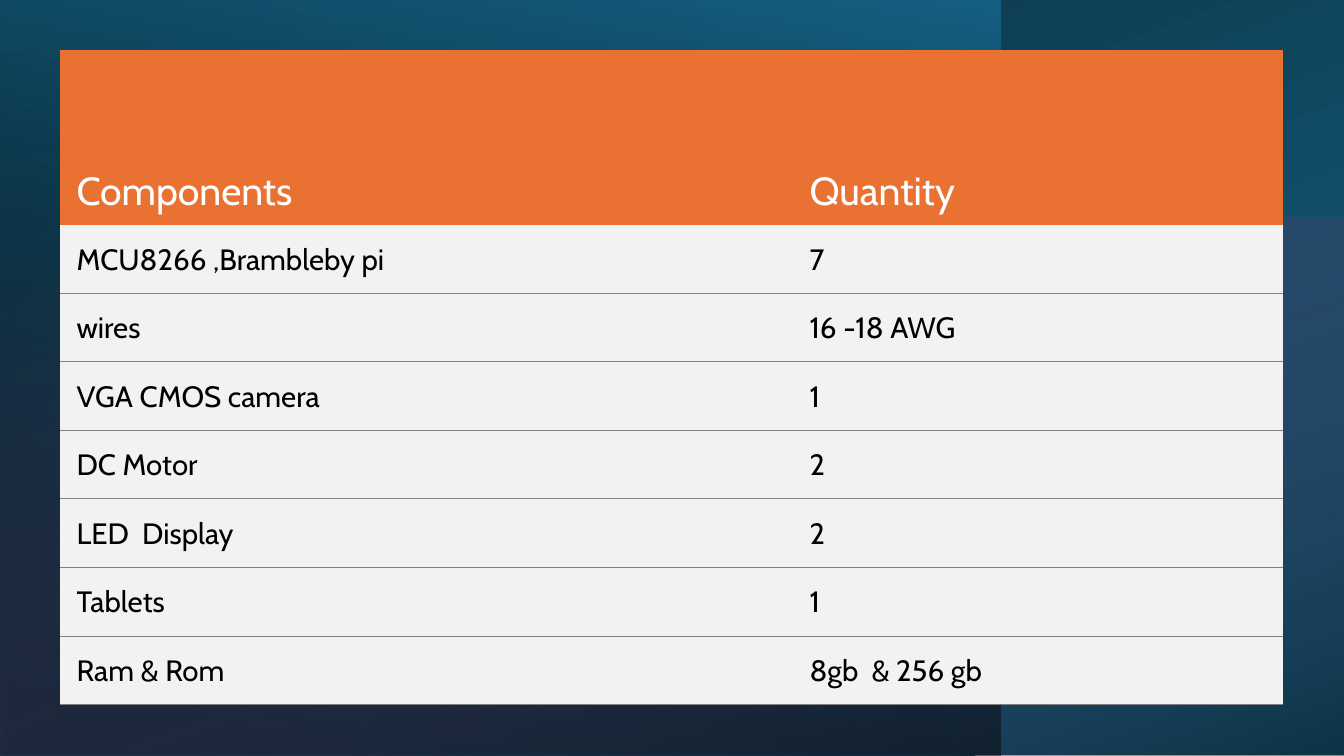
from lxml import etree
from pptx import Presentation
from pptx.dml.color import RGBColor
from pptx.enum.shapes import MSO_SHAPE
from pptx.enum.text import MSO_ANCHOR as Anchor
from pptx.oxml import parse_xml
from pptx.oxml.ns import nsdecls, qn
from pptx.util import Inches, Pt

COLORS = {
    "teal": "156082", "deep": "0B3041", "black": "000000", "orchid": "D86ECC",
    "orange": "E97132", "paper": "F2F2F2", "rule": "808080", "white": "FFFFFF",
}
FONT = "Cabin"
COMPONENTS = [
    ("MCU8266 ,Brambleby pi", "7"),
    ("wires", "16 -18 AWG"),
    ("VGA CMOS camera", "1"),
    ("DC Motor", "2"),
    ("LED  Display", "2"),
    ("Tablets", "1"),
    ("Ram & Rom", "8gb  & 256 gb"),
]


class SlideBuilder:
    def __init__(self, slide):
        self.slide = slide

    def gradient_panel(self, left, top, width, height, rotation, stops, angle):
        """Add a mirrored rectangle; stops are (position %, colour, opacity %)."""
        panel = self.slide.shapes.add_shape(
            MSO_SHAPE.RECTANGLE, Inches(left), Inches(top), Inches(width), Inches(height))
        panel.rotation = rotation
        panel.shadow.inherit = False
        panel.line.fill.background()
        properties = panel._element.spPr
        properties.find(qn("a:xfrm")).set("flipH", "1")
        stop_xml = "".join(
            f'<a:gs pos="{position * 1000}"><a:srgbClr val="{COLORS[color]}">'
            f'<a:alpha val="{opacity * 1000}"/></a:srgbClr></a:gs>'
            for position, color, opacity in stops)
        properties.find(qn("a:prstGeom")).addnext(parse_xml(
            f'<a:gradFill {nsdecls("a")} rotWithShape="1"><a:gsLst>{stop_xml}</a:gsLst>'
            f'<a:lin ang="{angle * 60000}" scaled="0"/></a:gradFill>'))

    def table(self, left, top, column_widths, row_heights, rows):
        table = self.slide.shapes.add_table(
            len(rows), len(column_widths), Inches(left), Inches(top),
            Inches(sum(column_widths)), Inches(sum(row_heights))).table
        table.first_row = table.horz_banding = False
        for column, width in zip(table.columns, column_widths):
            column.width = Inches(width)
        for index, (row, height, texts) in enumerate(zip(table.rows, row_heights, rows)):
            row.height = Inches(height)
            for cell, text in zip(row.cells, texts):
                self.cell(cell, text, index)

    def cell(self, cell, text, row_index):
        is_header = row_index == 0
        cell.margin_left = cell.margin_right = cell.margin_top = Inches(0.17)
        cell.margin_bottom = Inches(0.09)
        cell.vertical_anchor = Anchor.BOTTOM if is_header else Anchor.TOP
        cell.fill.solid()
        cell.fill.fore_color.rgb = RGBColor.from_string(
            COLORS["orange" if is_header else "paper"])
        cell.text = text
        font = cell.text_frame.paragraphs[0].font
        font.name = FONT
        font.size = Pt(28 if is_header else 21)
        font.color.rgb = RGBColor.from_string(COLORS["white" if is_header else "black"])
        ruled_sides = {"T": row_index > 1, "B": not is_header}
        self.borders(cell, ruled_sides)

    def borders(self, cell, ruled_sides):
        cell_properties = cell._tc.get_or_add_tcPr()
        for position, side in enumerate("LRTB"):
            border = etree.Element(qn(f"a:ln{side}"), w=str(Pt(0.75)))
            if ruled_sides.get(side):
                fill = etree.SubElement(border, qn("a:solidFill"))
                etree.SubElement(fill, qn("a:srgbClr"), val=COLORS["rule"])
            else:
                etree.SubElement(border, qn("a:noFill"))
            cell_properties.insert(position, border)


def main():
    deck = Presentation()
    deck.slide_width, deck.slide_height = Inches(13.33), Inches(7.5)
    builder = SlideBuilder(deck.slides.add_slide(deck.slide_layouts[6]))

    builder.gradient_panel(2.92, -2.92, 7.5, 13.33, 270,
                           [(8, "teal", 100), (100, "deep", 100)], 200)
    builder.gradient_panel(0, 0, 9.92, 7.5, 180,
                           [(8, "black", 52), (100, "teal", 100)], 80)
    builder.gradient_panel(3.99, -1.84, 5.35, 13.34, 270,
                           [(0, "orchid", 0), (100, "black", 46)], 20)

    rows = [("Components", "Quantity"), *COMPONENTS]
    row_heights = [1.73] + [0.68] * len(COMPONENTS)
    builder.table(0.59, 0.5, [7.27, 4.87], row_heights, rows)
    deck.save("out.pptx")


if __name__ == "__main__":
    main()
